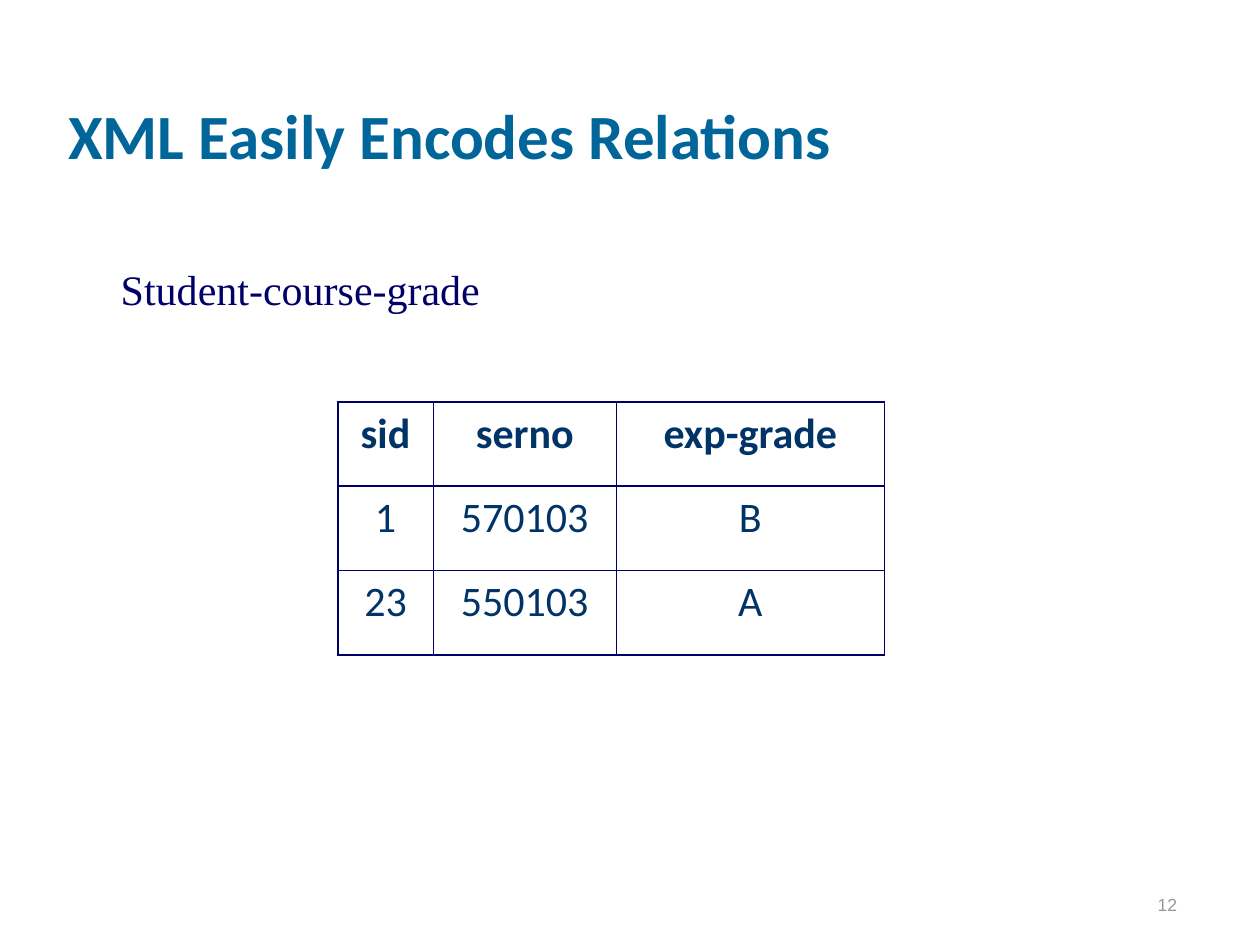
"""Build the slide that shows a relation as a table of student, course and grade."""
from dataclasses import dataclass

from lxml import etree
from pptx import Presentation
from pptx import util as u
from pptx.dml.color import RGBColor
from pptx.enum import text
from pptx.oxml import ns

TITLE = "XML Easily Encodes Relations"
RELATION_NAME = "Student-course-grade"
PAGE_NUMBER = "12"
ROWS = [
    ("sid", "serno", "exp-grade"),
    ("1", "570103", "B"),
    ("23", "550103", "A"),
]
COLUMN_WIDTHS = (0.76, 1.45, 2.13)
ROW_HEIGHT = 0.67


@dataclass(frozen=True)
class Theme:
    title_color: str = "006699"
    relation_color: str = "000066"
    cell_color: str = "003366"
    border_color: str = "000066"
    number_color: str = "969696"
    heading_font: str = "Calibri"
    relation_font: str = "Times New Roman"
    number_font: str = "Arial"
    title_size: float = 36
    body_size: float = 24
    number_size: float = 10
    outer_line: float = 1.08
    header_line: float = 1.47
    inner_line: float = 0.45


THEME = Theme()


def write_text(frame, content, *, font, size, color, bold=False,
               align=text.PP_ALIGN.LEFT, space_before=0):
    paragraph = frame.paragraphs[0]
    paragraph.alignment = align
    paragraph.space_before = u.Pt(space_before)
    run = paragraph.add_run()
    run.text = content
    run.font.name = font
    run.font.size = u.Pt(size)
    run.font.bold = bold
    run.font.color.rgb = RGBColor.from_string(color)


def place(shape, left, top, width, height):
    shape.left, shape.top = u.Inches(left), u.Inches(top)
    shape.width, shape.height = u.Inches(width), u.Inches(height)


def set_border(cell, side, width):
    properties = cell._tc.get_or_add_tcPr()
    line = etree.SubElement(properties, ns.qn(f"a:ln{side}"), w=str(u.Pt(width)))
    fill = etree.SubElement(line, ns.qn("a:solidFill"))
    etree.SubElement(fill, ns.qn("a:srgbClr"), val=THEME.border_color)


def add_title(slide):
    title = slide.shapes.title
    place(title, 0.44, 0.17, 8.5, 1.25)
    frame = title.text_frame
    frame.vertical_anchor = text.MSO_ANCHOR.BOTTOM
    frame.auto_size = text.MSO_AUTO_SIZE.NONE
    write_text(frame, TITLE, font=THEME.heading_font, size=THEME.title_size,
               color=THEME.title_color, bold=True)


def add_relation_table(slide):
    row_count, column_count = len(ROWS), len(COLUMN_WIDTHS)
    graphic = slide.shapes.add_table(
        row_count, column_count, u.Inches(2.68), u.Inches(3.19),
        u.Inches(sum(COLUMN_WIDTHS)), u.Inches(ROW_HEIGHT * row_count))
    table = graphic.table
    table.horz_banding = False
    for column, width in zip(table.columns, COLUMN_WIDTHS):
        column.width = u.Inches(width)

    vertical = [THEME.outer_line, *[THEME.inner_line] * (column_count - 1), THEME.outer_line]
    horizontal = [THEME.outer_line, THEME.header_line,
                  *[THEME.inner_line] * (row_count - 2), THEME.outer_line]
    for r, values in enumerate(ROWS):
        table.rows[r].height = u.Inches(ROW_HEIGHT)
        for c, value in enumerate(values):
            cell = table.cell(r, c)
            write_text(cell.text_frame, value, font=THEME.heading_font,
                       size=THEME.body_size, color=THEME.cell_color, bold=r == 0,
                       align=text.PP_ALIGN.CENTER, space_before=6)
            widths = (vertical[c], vertical[c + 1], horizontal[r], horizontal[r + 1])
            for side, width in zip("LRTB", widths):
                set_border(cell, side, width)
            cell.fill.background()


def add_label(slide, content, box, *, wrap, anchor, **text_format):
    label = slide.shapes.add_textbox(*map(u.Inches, box))
    frame = label.text_frame
    frame.word_wrap = wrap
    frame.vertical_anchor = anchor
    write_text(frame, content, **text_format)


def main():
    presentation = Presentation()
    presentation.slide_width, presentation.slide_height = u.Inches(10), u.Inches(7.5)
    slide = presentation.slides.add_slide(presentation.slide_layouts.get_by_name("Title Only"))
    add_label(slide, PAGE_NUMBER, (7.36, 6.81, 2.08, 0.5), wrap=True,
              anchor=text.MSO_ANCHOR.BOTTOM, font=THEME.number_font,
              size=THEME.number_size, color=THEME.number_color,
              align=text.PP_ALIGN.RIGHT, space_before=6.2)
    add_title(slide)
    add_relation_table(slide)
    add_label(slide, RELATION_NAME, (0.86, 2.04, 3.05, 0.5), wrap=False,
              anchor=text.MSO_ANCHOR.TOP, font=THEME.relation_font,
              size=THEME.body_size, color=THEME.relation_color)
    presentation.save("out.pptx")


if __name__ == "__main__":
    main()
